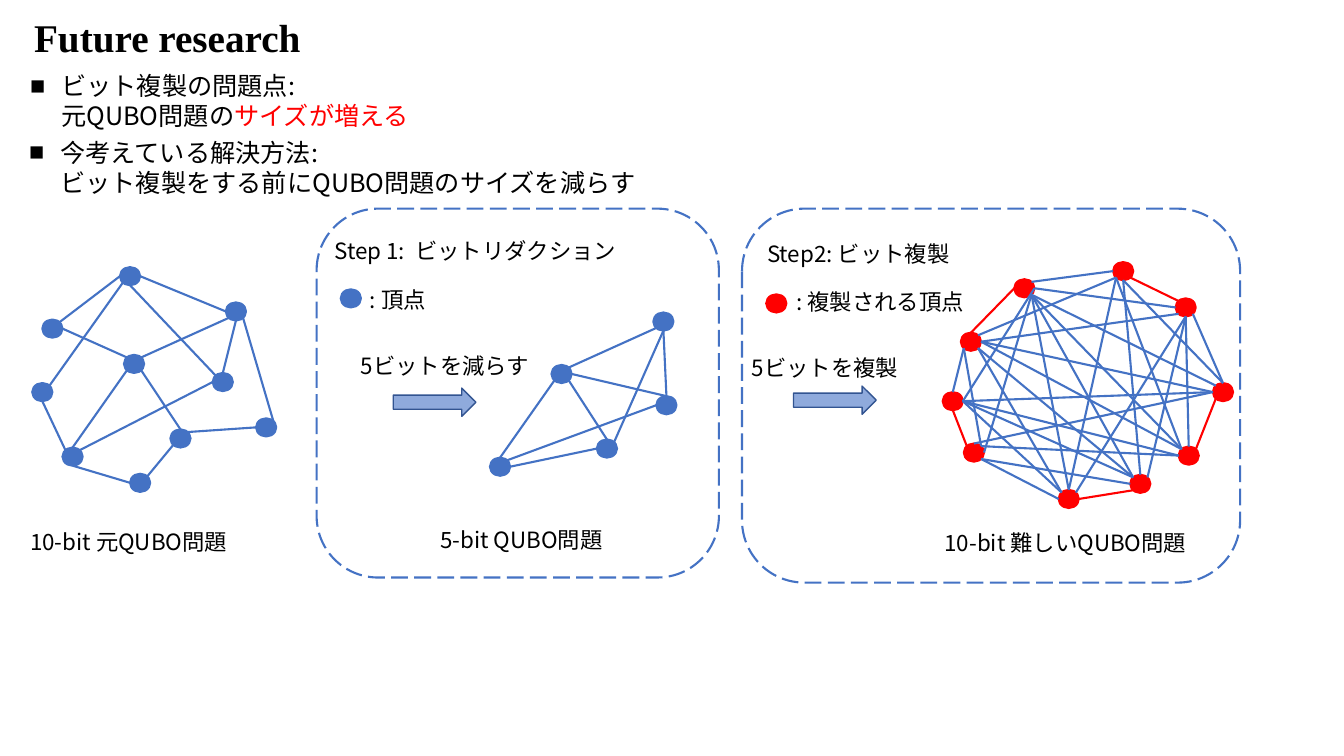
from math import sqrt
from lxml.etree import SubElement, Element
from pptx import Presentation
from pptx.dml.color import RGBColor
from pptx.enum.dml import MSO_LINE
from pptx.enum.shapes import MSO_CONNECTOR, MSO_SHAPE
from pptx.enum.text import MSO_AUTO_SIZE
from pptx.oxml.ns import qn
from pptx.util import Inches, Pt

BLUE, RED, BLACK = "4472C4", "FF0000", "000000"
ARROW_FILL, ARROW_LINE = "8FAADC", "325491"
SANS, SERIF = "Noto Sans CJK SC", "Times New Roman"
NODE_W, NODE_H = 0.2, 0.18

# Content: title, bullets (place, lines of (text, colour) runs) and labels
TITLE = ("Future research", 0.24, 0.08, 3.23, 0.57)
BULLETS = [
    ((0.2, 0.65, 4.43, 0.71),
     [[("ビット複製の問題点:", BLACK)],
      [("元QUBO問題の", BLACK), ("サイズが増える", RED)]]),
    ((0.19, 1.31, 6.36, 0.71),
     [[("今考えている解決方法:", BLACK)],
      [("ビット複製をする前にQUBO問題のサイズを減らす", BLACK)]]),
]
LABELS = [  # text, left, top, width
    ("10-bit 元QUBO問題", 0.2, 5.19, 2.4),
    ("5-bit QUBO問題", 4.27, 5.17, 1.92),
    ("10-bit 難しいQUBO問題", 9.27, 5.2, 2.74),
    ("5ビットを減らす", 3.48, 3.44, 1.91),
    ("5ビットを複製", 7.36, 3.46, 1.83),
    (": 頂点", 3.57, 2.79, 0.82),
    (": 複製される頂点", 7.8, 2.81, 1.89),
    ("Step 1:  ビットリダクション", 3.22, 2.3, 3.16),
    ("Step2: ビット複製", 7.51, 2.33, 2.08),
]
STEP_FRAMES = [(3.14, 2.07, 3.99, 3.66), (7.36, 2.07, 4.94, 3.71)]
ARROWS = [(3.9, 3.85, 0.82, 0.28), (7.87, 3.83, 0.82, 0.28)]
LEGEND_NODES = [(3.38, 2.87, BLUE), (7.6, 2.92, RED)]

# Graphs: node colour, nodes (left, top), then edges by colour.
# An edge "b.S c.NW" runs from the south of b to the north-west of c.
GRAPHS = [
    (BLUE,
     {"a": (0.42, 3.17), "b": (0.32, 3.8), "c": (0.62, 4.44), "d": (1.23, 3.52),
      "e": (1.69, 4.26), "f": (1.19, 2.65), "g": (2.11, 3.7), "h": (1.29, 4.7),
      "i": (2.54, 4.15), "j": (2.24, 3)},
     {BLUE: ["b.S c.NW", "c.S h.W", "h.NE e.SW", "e.NE i.W", "c.N d.SW",
             "f.E j.W", "b.NE f.SW", "j.S g.N", "d.SE e.N", "d.NE j.SW",
             "j.SE i.NE", "g.W c.NE", "f.S g.NW", "d.NW a.E", "a.NE f.W"]}),
    (BLUE,
     {"a": (4.86, 4.54), "b": (5.47, 3.62), "c": (5.92, 4.36),
      "d": (6.51, 3.93), "e": (6.48, 3.1)},
     {BLUE: ["a.N b.SW", "e.S d.N", "b.SE c.N", "b.NE e.SW", "d.W a.NE",
             "e.S c.NE", "a.E c.W", "b.E d.N"]}),
    (RED,
     {"a": (10.06, 2.77), "b": (9.53, 3.3), "c": (11.04, 2.6), "d": (11.66, 2.96),
      "e": (12.03, 3.8), "f": (11.69, 4.43), "g": (9.35, 3.89), "h": (9.56, 4.4),
      "i": (10.5, 4.86), "j": (11.21, 4.71)},
     {RED: ["b.N a.W", "c.SE d.NW", "f.NE e.SW", "g.S h.NW", "i.E j.SW"],
      BLUE: ["b.E d.SW", "b.NE c.SW", "a.E d.W", "a.NE c.W", "b.E f.NW",
             "b.E e.W", "a.SE f.NW", "a.SE e.NW", "d.SE e.N", "d.S f.N",
             "c.SW f.NW", "c.S e.N", "f.W h.NE", "f.W g.E", "g.N b.SW",
             "b.SW h.NE", "a.SE h.E", "g.E a.E", "e.W g.E", "e.W h.N",
             "h.SE i.W", "h.SE j.W", "g.E i.NW", "g.E j.NW", "b.SE i.NW",
             "b.SE j.NW", "a.SE i.N", "a.SE j.NW", "c.SW i.N", "c.S j.N",
             "d.S j.NE", "d.S i.NE"]}),
]


def rgb(code):
    return RGBColor.from_string(code)


def add_preset(kind, box, fill, line, width=1.5):
    shape = slide.shapes.add_shape(kind, *map(Inches, box))
    shape.shadow.inherit = False
    if fill:
        shape.fill.solid()
        shape.fill.fore_color.rgb = rgb(fill)
    else:
        shape.fill.background()
    shape.line.color.rgb = rgb(line)
    shape.line.width = Pt(width)
    return shape


def add_node(left, top, color):
    add_preset(MSO_SHAPE.OVAL, (left, top, NODE_W, NODE_H), color, color)


def rim_point(nodes, end):
    """Point on a node's rim for an end such as 'b.SW'."""
    name, side = end.split(".")
    left, top = nodes[name]
    dx = ("E" in side) - ("W" in side)
    dy = ("S" in side) - ("N" in side)
    reach = sqrt(dx * dx + dy * dy)
    return (Inches(left + NODE_W / 2 * (1 + dx / reach)),
            Inches(top + NODE_H / 2 * (1 + dy / reach)))


def add_edge(nodes, edge, color):
    start, end = (rim_point(nodes, part) for part in edge.split())
    connector = slide.shapes.add_connector(MSO_CONNECTOR.STRAIGHT, *start, *end)
    connector.line.color.rgb = rgb(color)
    connector.line.width = Pt(1.5)
    SubElement(connector._element.spPr, qn("a:effectLst"))


def add_text(box, lines, size, face=SANS, bold=False):
    frame = slide.shapes.add_textbox(*map(Inches, box)).text_frame
    frame.word_wrap = True
    frame.auto_size = MSO_AUTO_SIZE.SHAPE_TO_FIT_TEXT
    for number, runs in enumerate(lines):
        paragraph = frame.add_paragraph() if number else frame.paragraphs[0]
        font = paragraph.font
        font.size, font.name, font.bold = Pt(size), face, bold
        SubElement(font._element, qn("a:ea"), typeface=face)
        for text, color in runs:
            run = paragraph.add_run()
            run.text = text
            run.font.color.rgb = rgb(color)
    return frame


def hang_bullet(frame):
    for number, paragraph in enumerate(frame.paragraphs):
        props = paragraph._p.get_or_add_pPr()
        props.set("marL", str(Inches(0.31)))
        props.set("indent", str(0 if number else -Inches(0.31)))
        if number == 0:
            props.insert(0, Element(qn("a:buFont"), typeface="Arial"))
            props.insert(1, Element(qn("a:buChar"), char="■"))


presentation = Presentation()
presentation.slide_width, presentation.slide_height = Inches(13.33), Inches(7.5)
slide = presentation.slides.add_slide(presentation.slide_layouts[6])

# Title and bullets
title, *title_box = TITLE
add_text(title_box, [[(title, BLACK)]], 28, SERIF, True)
for box, lines in BULLETS:
    hang_bullet(add_text(box, lines, 18))

# Step frames and arrows
for box in STEP_FRAMES:
    frame = add_preset(MSO_SHAPE.ROUNDED_RECTANGLE, box, None, BLUE)
    frame.line.dash_style = MSO_LINE.LONG_DASH
for box in ARROWS:
    add_preset(MSO_SHAPE.RIGHT_ARROW, box, ARROW_FILL, ARROW_LINE, 1)

# Graphs and legend
for node_color, nodes, edges in GRAPHS:
    for left, top in nodes.values():
        add_node(left, top, node_color)
    for edge_color, ends in edges.items():
        for edge in ends:
            add_edge(nodes, edge, edge_color)
for legend_node in LEGEND_NODES:
    add_node(*legend_node)

# Labels
for text, left, top, width in LABELS:
    add_text((left, top, width, 0.37), [[(text, BLACK)]], 16)

presentation.save("out.pptx")
